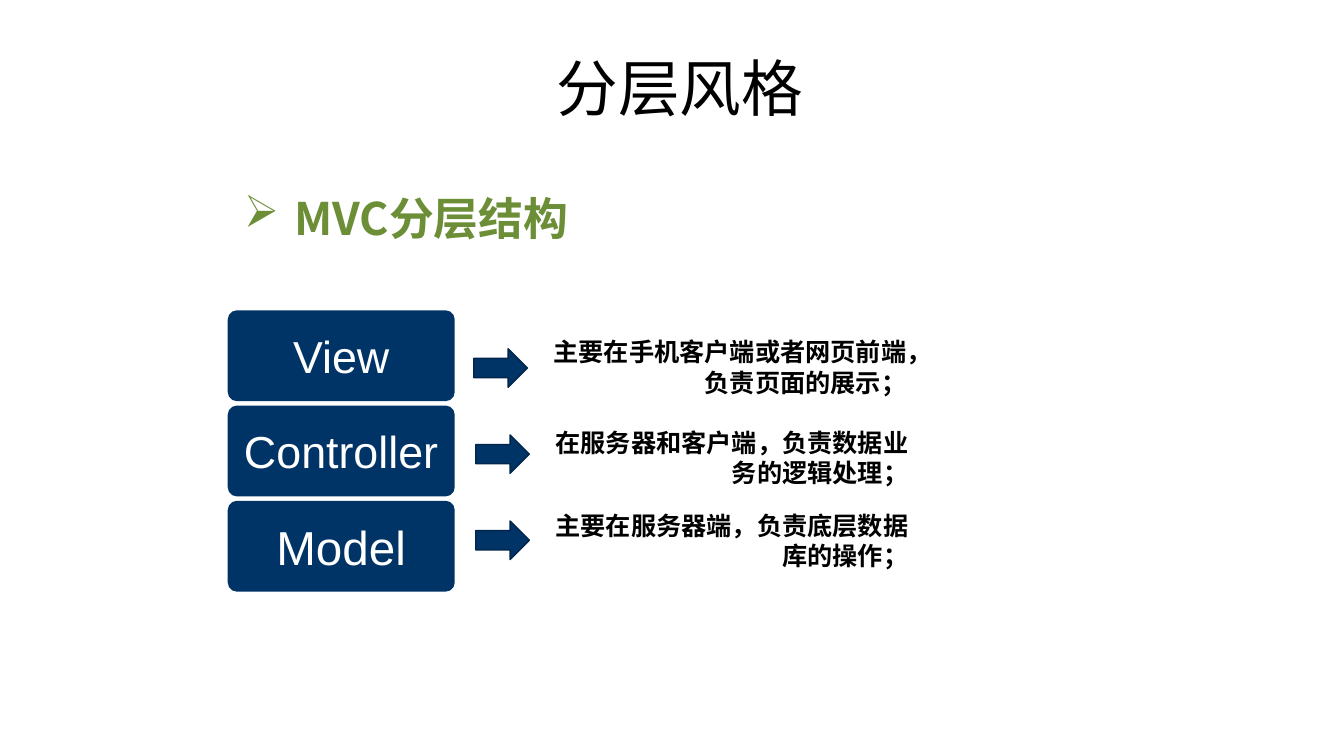
from lxml import etree
from pptx import Presentation
from pptx.dml.color import RGBColor
from pptx.enum import shapes, text
from pptx.oxml import ns
from pptx.util import Cm, Pt

TITLE = "分层风格"
HEADING = "MVC分层结构"
LAYERS = [
    {"name": "View", "size": 32, "inset": 0.33, "arrow_left": 11.94,
     "role": "主要在手机客户端或者网页前端，负责页面的展示；", "role_at": (13.69, 8.36)},
    {"name": "Controller", "size": 32, "inset": 0.33, "arrow_left": 11.99,
     "role": "在服务器和客户端，负责数据业务的逻辑处理；", "role_at": (13.74, 10.64)},
    {"name": "Model", "size": 34, "inset": 0.36, "arrow_left": 11.99,
     "role": "主要在服务器端，负责底层数据库的操作；", "role_at": (13.74, 12.73)},
]
NAVY, NAVY_EDGE, GREEN, BLACK, WHITE = "003366", "00264B", "6B8E37", "000000", "FFFFFF"
CJK = "Noto Sans CJK SC"
LAYER_LEFT, LAYER_TOP, LAYER_PITCH = 5.74, 7.82, 2.4
ARROW_TOP, ARROW_PITCH = 8.79, 2.17


def color(value):
    return RGBColor.from_string(value)


def box(*lengths):
    return [Cm(length) for length in lengths]


def write(frame, words, size, font, ink, align, bold=False):
    paragraph = frame.paragraphs[0]
    paragraph.alignment = align
    run = paragraph.add_run()
    run.text = words
    run.font.size = Pt(size)
    run.font.name = font
    run.font.bold = bold
    run.font.color.rgb = color(ink)
    east_asian = etree.SubElement(run.font._element, ns.qn("a:ea"))
    east_asian.set("typeface", CJK)


def add_block(slide, preset, place, fill):
    block = slide.shapes.add_shape(preset, *box(*place))
    block.shadow.inherit = False
    block.fill.solid()
    block.fill.fore_color.rgb = color(fill)
    block.line.fill.background()
    return block


def add_heading(slide):
    heading = slide.shapes.add_textbox(*box(5.54, 4.67, 9.04, 1.63))
    frame = heading.text_frame
    frame.word_wrap = False
    properties = frame.paragraphs[0]._p.get_or_add_pPr()
    properties.set("marL", str(Cm(1.27)))
    properties.set("indent", str(-Cm(1.27)))
    bullet = etree.SubElement(properties, ns.qn("a:buChar"))
    bullet.set("char", "➢")
    write(frame, HEADING, 32, CJK, GREEN, text.PP_ALIGN.RIGHT, True)


def add_layer(slide, index, layer):
    place = (LAYER_LEFT, LAYER_TOP + index * LAYER_PITCH, 5.72, 2.29)
    tile = add_block(slide, shapes.MSO_SHAPE.ROUNDED_RECTANGLE, place, NAVY)
    tile.adjustments[0] = 0.1
    frame = tile.text_frame
    frame.word_wrap = True
    frame.vertical_anchor = text.MSO_ANCHOR.MIDDLE
    inset = Cm(layer["inset"])
    frame.margin_left = frame.margin_right = inset
    frame.margin_top = frame.margin_bottom = inset
    write(frame, layer["name"], layer["size"], "Arial", WHITE, text.PP_ALIGN.CENTER)

    place = (layer["arrow_left"], ARROW_TOP + index * ARROW_PITCH, 1.35, 0.97)
    arrow = add_block(slide, shapes.MSO_SHAPE.RIGHT_ARROW, place, NAVY)
    arrow.line.color.rgb = color(NAVY_EDGE)
    arrow.line.width = Pt(1)

    role = slide.shapes.add_textbox(*box(*layer["role_at"], 9.4, 1.8))
    role.text_frame.word_wrap = True
    write(role.text_frame, layer["role"], 18, "Arial", BLACK, text.PP_ALIGN.RIGHT, True)


def main():
    deck = Presentation()
    deck.slide_width, deck.slide_height = box(33.87, 19.05)
    slide = deck.slides.add_slide(deck.slide_layouts[5])
    title = slide.shapes.title
    title.left, title.top, title.width, title.height = box(8.13, 1.12, 18.01, 2.13)
    title.text_frame.vertical_anchor = text.MSO_ANCHOR.TOP
    title.text_frame.word_wrap = True
    write(title.text_frame, TITLE, 44, CJK, BLACK, text.PP_ALIGN.CENTER)
    add_heading(slide)
    for index, layer in enumerate(LAYERS):
        add_layer(slide, index, layer)
    deck.save("out.pptx")


if __name__ == "__main__":
    main()
